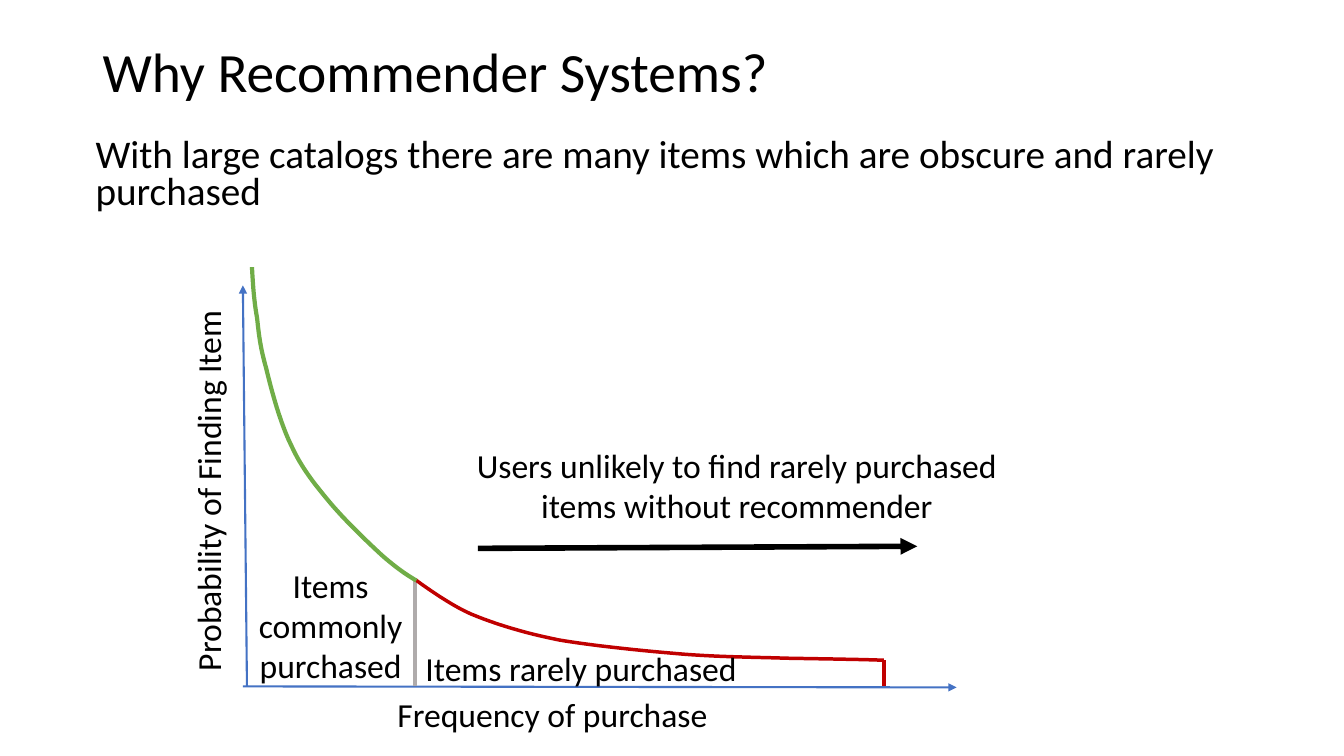
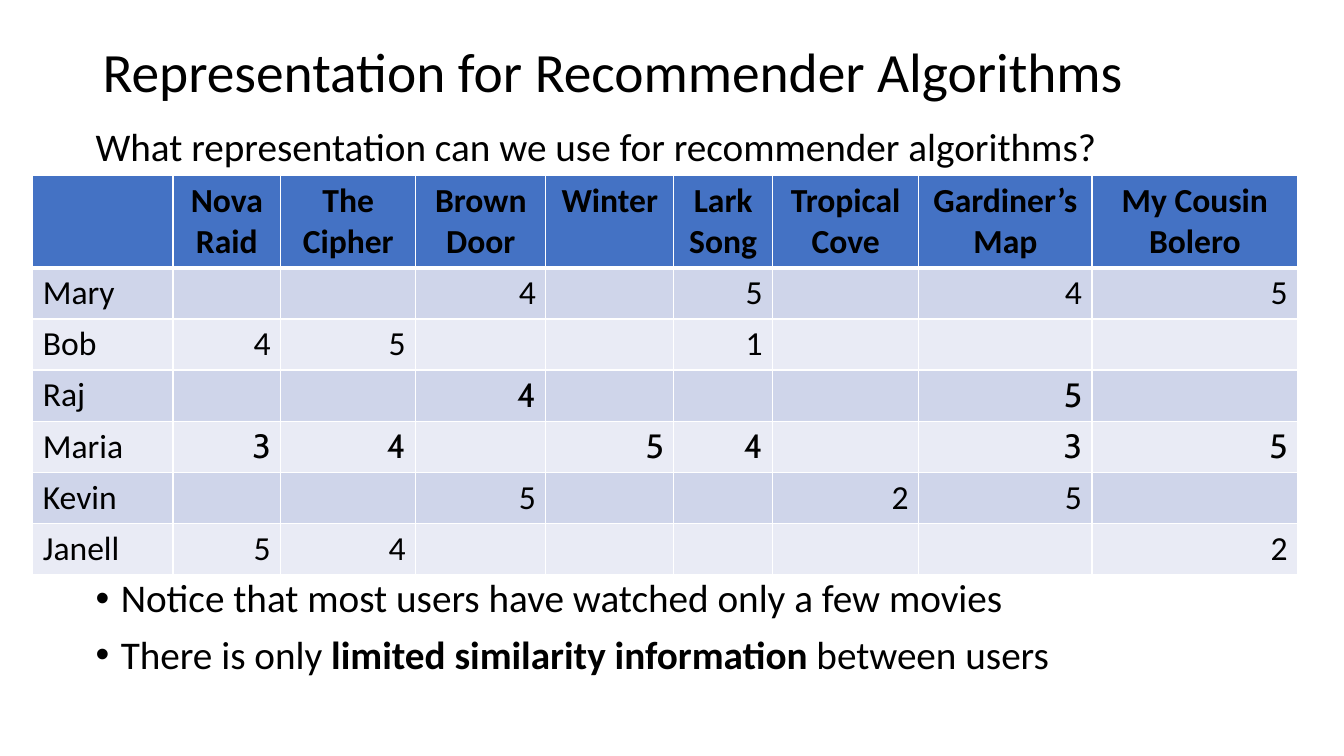
from dataclasses import dataclass

from lxml import etree
from pptx import Presentation
from pptx import util as u
from pptx.dml.color import RGBColor
from pptx.enum import shapes, text
from pptx.oxml import ns

COLORS = {
    "ink": "000000",
    "axis": "4472C4",
    "rare": "C00000",
    "common": "70AD47",
    "divider": "AFABAB",
    "header": "4472C4",
    "band_dark": "CFD5EA",
    "band_light": "E9EBF5",
    "border": "FFFFFF",
}
FONT, RATING_FONT = "Calibri", "Cabin"
CURVE_STEPS = 12
LEFT, CENTER, RIGHT = text.PP_ALIGN.LEFT, text.PP_ALIGN.CENTER, text.PP_ALIGN.RIGHT


@dataclass(frozen=True)
class Line:
    start: tuple[float, float]
    end: tuple[float, float]
    color: str
    width: float
    arrow: bool = False


@dataclass(frozen=True)
class Curve:
    """A chain of cubic Béziers: a start, then three points per segment."""
    points: list[tuple[float, float]]
    color: str
    width: float


@dataclass(frozen=True)
class Label:
    text: str
    area: tuple[float, float, float, float]
    rotation: float = 0


LINES = [
    Line((173.5, 490.3), (683.3, 491), "axis", 1.5, arrow=True),
    Line((176.4, 490.3), (173.5, 203.8), "axis", 1.5, arrow=True),
    Line((296.6, 414), (296.6, 490.3), "divider", 2.5),
    Line((631.4, 471.6), (631.4, 490.3), "rare", 2.5),
    Line((341.3, 391.7), (655.2, 390.2), "ink", 4, arrow=True),
]
CURVES = [
    Curve([
        (631.4, 471.6),
        (608.4, 470.9), (585.4, 470.6), (562.3, 470.2),
        (538.6, 469.4), (515.5, 469.4), (488.2, 467.3),
        (461.5, 465.1), (424.8, 461.5), (399.6, 457.2),
        (374.4, 452.2), (353.5, 445.7), (336.2, 438.5),
        (319.7, 431.3), (296.6, 414), (296.6, 414),
    ], "rare", 2.5),
    Curve([
        (297.4, 414.7),
        (290.2, 410.4), (283.7, 406.1), (272.9, 396.7),
        (262.8, 387.4), (246.2, 371.5), (235.4, 358.6),
        (224.6, 345.6), (215.3, 334.1), (208.1, 318.2),
        (200.2, 302.4), (193.7, 277.9), (190.1, 262.8),
        (185.8, 247.7), (185, 239), (183.6, 226.8),
        (181.4, 214.6), (180.7, 203), (180, 190.8),
    ], "common", 3),
]
LABELS = [
    Label("Probability of Finding Item", (8.6, 332.6, 279.4, 36), rotation=270),
    Label("Items rarely purchased", (295.9, 459.4, 238.3, 36)),
    Label("Items commonly purchased", (171.4, 399.6, 129.6, 94.3)),
    Label("Users unlikely to find rarely purchased items without recommender",
          (330.5, 313.9, 391.7, 65.5)),
    Label("Frequency of purchase", (254.9, 491.8, 279.4, 36)),
]

COLUMN_WIDTHS = [100.1, 77, 96.5, 92.9, 91.4, 70.6, 104.4, 123.8, 146.9]
HEADER_HEIGHT, ROW_HEIGHT = 65.8, 36.5
MOVIES = ["", "Nova Raid", "The Cipher", "Brown Door", "Winter", "Lark Song",
          "Tropical Cove", "Gardiner’s Map", "My Cousin\nBolero"]
RATINGS = {
    "Mary": ". . 4 . 5 . 4 5",
    "Bob": "4 5 . . 1 . . .",
    "Raj": ". . 4 . . . 5 .",
    "Maria": "3 4 . 5 4 . 3 5",
    "Kevin": ". . 5 . . 2 5 .",
    "Janell": "5 4 . . . . . 2",
}
RATING_FONT_USERS = {"Raj", "Maria"}


def rgb(name: str) -> RGBColor:
    return RGBColor.from_string(COLORS[name])


def write(frame, content: str, *, size: float = 24, font: str = FONT,
          bold: bool = False, align=LEFT, spacing: float = 1.0,
          before: float = 0, bullet: bool = False) -> None:
    """Fill a text frame: newlines split paragraphs, ** toggles bold."""
    for index, line in enumerate(content.split("\n")):
        para = frame.add_paragraph() if index else frame.paragraphs[0]
        para.alignment = align
        para.line_spacing = spacing
        para.space_before = u.Pt(before)
        if bullet:
            props = para._p.get_or_add_pPr()
            props.set("marL", str(u.Pt(18)))
            props.set("indent", str(-u.Pt(18)))
            etree.SubElement(props, ns.qn("a:buFont"), typeface="Arial")
            etree.SubElement(props, ns.qn("a:buChar"), char="•")
        for part, words in enumerate(line.split("**")):
            span = para.add_run()
            span.text = words
            span.font.name = font
            span.font.size = u.Pt(size)
            span.font.bold = bold or part % 2 == 1
            span.font.color.rgb = rgb("ink")


def add_text(page, content: str, area: tuple[float, float, float, float], *,
             anchor=text.MSO_ANCHOR.TOP, fit=text.MSO_AUTO_SIZE.NONE,
             rotation: float = 0, **style) -> None:
    box = page.shapes.add_textbox(*(u.Pt(length) for length in area))
    box.rotation = rotation
    frame = box.text_frame
    frame.word_wrap = True
    frame.auto_size = fit
    frame.vertical_anchor = anchor
    write(frame, content, **style)


def add_page(deck, title: str):
    page = deck.slides.add_slide(deck.slide_layouts[6])
    add_text(page, title, (66.2, 28.8, 828, 49), size=39.6, spacing=0.9,
             anchor=text.MSO_ANCHOR.MIDDLE)
    return page


def add_line(page, line: Line) -> None:
    ends = (u.Pt(value) for value in line.start + line.end)
    connector = page.shapes.add_connector(shapes.MSO_CONNECTOR.STRAIGHT, *ends)
    connector.line.color.rgb = rgb(line.color)
    connector.line.width = u.Pt(line.width)
    props = connector._element.spPr
    if line.arrow:
        etree.SubElement(props.find(ns.qn("a:ln")), ns.qn("a:tailEnd"), type="triangle")
    etree.SubElement(props, ns.qn("a:effectLst"))


def add_curve(page, curve: Curve) -> None:
    points = curve.points
    outline = []
    for first in range(0, len(points) - 1, 3):
        corners = points[first:first + 4]
        for step in range(1, CURVE_STEPS + 1):
            t = step / CURVE_STEPS
            weights = ((1 - t) ** 3, 3 * t * (1 - t) ** 2, 3 * t * t * (1 - t), t ** 3)
            outline.append(tuple(
                u.Pt(sum(weight * corner[axis] for weight, corner in zip(weights, corners)))
                for axis in (0, 1)))
    builder = page.shapes.build_freeform(u.Pt(points[0][0]), u.Pt(points[0][1]))
    builder.add_line_segments(outline, close=False)
    shape = builder.convert_to_shape()
    shape.shadow.inherit = False
    shape.fill.background()
    shape.line.color.rgb = rgb(curve.color)
    shape.line.width = u.Pt(curve.width)


def style_cell(cell, fill: str, *, top: float = 1, bottom: float = 1) -> None:
    props = cell._tc.get_or_add_tcPr()
    for side, width in (("L", 1), ("R", 1), ("T", top), ("B", bottom)):
        edge = etree.SubElement(props, ns.qn(f"a:ln{side}"), w=str(u.Pt(width)))
        paint = etree.SubElement(edge, ns.qn("a:solidFill"))
        etree.SubElement(paint, ns.qn("a:srgbClr"), val=COLORS["border"])
    cell.fill.solid()
    cell.fill.fore_color.rgb = rgb(fill)


def add_ratings(page) -> None:
    heights = [HEADER_HEIGHT] + [ROW_HEIGHT] * len(RATINGS)
    table = page.shapes.add_table(
        len(heights), len(COLUMN_WIDTHS), u.Pt(23.4), u.Pt(125.5),
        u.Pt(sum(COLUMN_WIDTHS)), u.Pt(sum(heights))).table
    table.horz_banding = False
    for column, width in zip(table.columns, COLUMN_WIDTHS):
        column.width = u.Pt(width)
    for row, height in zip(table.rows, heights):
        row.height = u.Pt(height)

    # Header row
    for cell, movie in zip(table.rows[0].cells, MOVIES):
        style_cell(cell, "header", bottom=3)
        if movie:
            write(cell.text_frame, movie, bold=True, align=CENTER)

    # One row per user
    for number, (user, scores) in enumerate(RATINGS.items(), start=1):
        score_font = RATING_FONT if user in RATING_FONT_USERS else FONT
        for index, value in enumerate([user] + scores.split()):
            cell = table.cell(number, index)
            style_cell(cell, "band_dark" if number % 2 else "band_light",
                       top=3 if number == 1 else 1)
            if value != ".":
                write(cell.text_frame, value, align=RIGHT if index else LEFT,
                      font=score_font if index else FONT)


def build_motivation(deck) -> None:
    page = add_page(deck, "Why Recommender Systems?")
    add_text(page, "With large catalogs there are many items which are obscure "
             "and rarely purchased", (61.2, 95, 828, 62), size=28, spacing=0.8, before=10)
    for line in LINES:
        add_line(page, line)
    for curve in CURVES:
        add_curve(page, curve)
    for label in LABELS:
        add_text(page, label.text, label.area, rotation=label.rotation,
                 align=CENTER, fit=text.MSO_AUTO_SIZE.SHAPE_TO_FIT_TEXT)


def build_representation(deck) -> None:
    page = add_page(deck, "Representation for Recommender Algorithms")
    body = {"size": 28, "spacing": 0.9, "before": 10}
    add_text(page, "What representation can we use for recommender algorithms?",
             (61.2, 87.8, 828, 38), **body)
    add_ratings(page)
    add_text(page, "Notice that most users have watched only a few movies\n"
             "There is only **limited similarity information **between users",
             (61.2, 410, 828, 90), bullet=True, **body)


def main() -> None:
    deck = Presentation()
    deck.slide_width, deck.slide_height = u.Pt(960), u.Pt(540)
    build_motivation(deck)
    build_representation(deck)
    deck.save("out.pptx")


if __name__ == "__main__":
    main()
